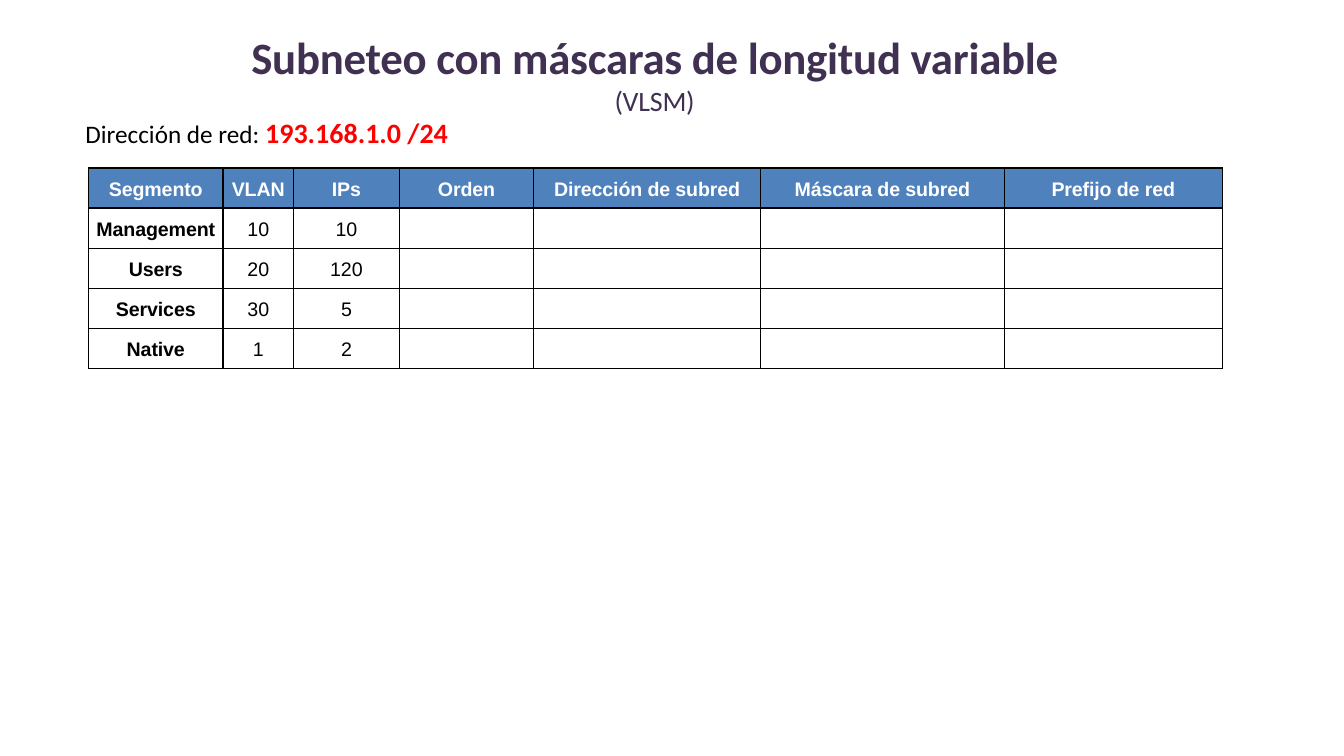
"""Build the VLSM subnetting slide with its title, network address and table."""
from lxml.etree import SubElement
from pptx import Presentation
from pptx.dml.color import RGBColor
from pptx.enum.text import MSO_ANCHOR, MSO_AUTO_SIZE, PP_ALIGN
from pptx.oxml.ns import qn
from pptx.util import Pt

COLUMN_WIDTHS = [96, 50.4, 75.6, 96, 162, 174, 156]
ROW_HEIGHT = 28.65
HEADINGS = ["Segmento", "VLAN", "IPs", "Orden", "Dirección de subred",
            "Máscara de subred", "Prefijo de red"]
SEGMENTS = [
    ["Management", "10", "10"],
    ["Users", "20", "120"],
    ["Services", "30", "5"],
    ["Native", "1", "2"],
]
NO_MARGINS = dict.fromkeys(
    ["margin_left", "margin_top", "margin_right", "margin_bottom"], 0)


def rgb(value):
    return RGBColor.from_string(value)


def apply(target, formats):
    for attribute, value in formats.items():
        setattr(target, attribute, value)


class SubnetSlide:
    dark, accent, alert = "403152", "4F81BD", "FF0000"
    black, white = "000000", "FFFFFF"
    text_font, table_font = "Calibri", "Arial"

    def __init__(self, deck):
        self.slide = deck.slides.add_slide(deck.slide_layouts[5])

    def run(self, paragraph, text, font, size, color, bold=False, spacing=0):
        run = paragraph.add_run()
        run.text = text
        apply(run.font, {"name": font, "size": Pt(size), "bold": bold})
        run.font.color.rgb = rgb(color)
        if spacing:
            run._r.get_or_add_rPr().set("spc", str(round(spacing * 100)))

    def title(self, heading, acronym, left, top, width, height):
        title = self.slide.shapes.title
        apply(title, {"left": Pt(left), "top": Pt(top),
                      "width": Pt(width), "height": Pt(height)})
        apply(title.text_frame, {
            **NO_MARGINS, "word_wrap": True, "auto_size": MSO_AUTO_SIZE.NONE,
            "vertical_anchor": MSO_ANCHOR.TOP})
        paragraph = title.text_frame.paragraphs[0]
        paragraph.alignment = PP_ALIGN.CENTER
        self.run(paragraph, heading, self.text_font, 32, self.dark, True, -0.2)
        self.run(paragraph, acronym, self.text_font, 20, self.dark, False, -0.2)

    def address(self, label, network, left, top, width, height):
        box = self.slide.shapes.add_textbox(
            Pt(left), Pt(top), Pt(width), Pt(height))
        box.text_frame.word_wrap = False
        paragraph = box.text_frame.paragraphs[0]
        self.run(paragraph, label, self.text_font, 18, self.black)
        self.run(paragraph, network, self.text_font, 20, self.alert, True)

    def borders(self, cell):
        properties = cell._tc.get_or_add_tcPr()
        for position, side in enumerate(["lnL", "lnR", "lnT", "lnB"]):
            line = SubElement(properties, qn(f"a:{side}"), w=str(Pt(1)))
            fill = SubElement(line, qn("a:solidFill"))
            SubElement(fill, qn("a:srgbClr"), val=self.black)
            properties.insert(position, line)

    def cell(self, cell, text, is_heading, bold):
        apply(cell, {**NO_MARGINS, "vertical_anchor": MSO_ANCHOR.MIDDLE})
        if is_heading:
            cell.fill.solid()
            cell.fill.fore_color.rgb = rgb(self.accent)
        else:
            cell.fill.background()
        self.borders(cell)
        if text:
            paragraph = cell.text_frame.paragraphs[0]
            apply(paragraph, {"alignment": PP_ALIGN.CENTER,
                              "line_spacing": Pt(18)})
            color = self.white if is_heading else self.black
            self.run(paragraph, text, self.table_font, 14, color, bold,
                     -0.1 if bold else 0)

    def table(self, headings, segments, left, top):
        rows = [headings] + segments
        table = self.slide.shapes.add_table(
            len(rows), len(headings), Pt(left), Pt(top),
            Pt(sum(COLUMN_WIDTHS)), Pt(ROW_HEIGHT * len(rows))).table
        apply(table, {"first_row": False, "horz_banding": False})
        for column, width in zip(table.columns, COLUMN_WIDTHS):
            column.width = Pt(width)
        for row_index, values in enumerate(rows):
            table.rows[row_index].height = Pt(ROW_HEIGHT)
            for column_index in range(len(headings)):
                text = values[column_index] if column_index < len(values) else ""
                is_heading = row_index == 0
                self.cell(table.cell(row_index, column_index), text,
                          is_heading, is_heading or column_index == 0)


def main():
    deck = Presentation()
    apply(deck, {"slide_width": Pt(960), "slide_height": Pt(540)})
    subnetting = SubnetSlide(deck)
    subnetting.title("Subneteo con máscaras de longitud variable ", "(VLSM)",
                     151.6, 21, 632, 63.4)
    subnetting.table(HEADINGS, SEGMENTS, 63.3, 120)
    subnetting.address("Dirección de red: ", "193.168.1.0 /24",
                       54, 79.2, 276.5, 31.5)
    deck.save("out.pptx")


if __name__ == "__main__":
    main()
